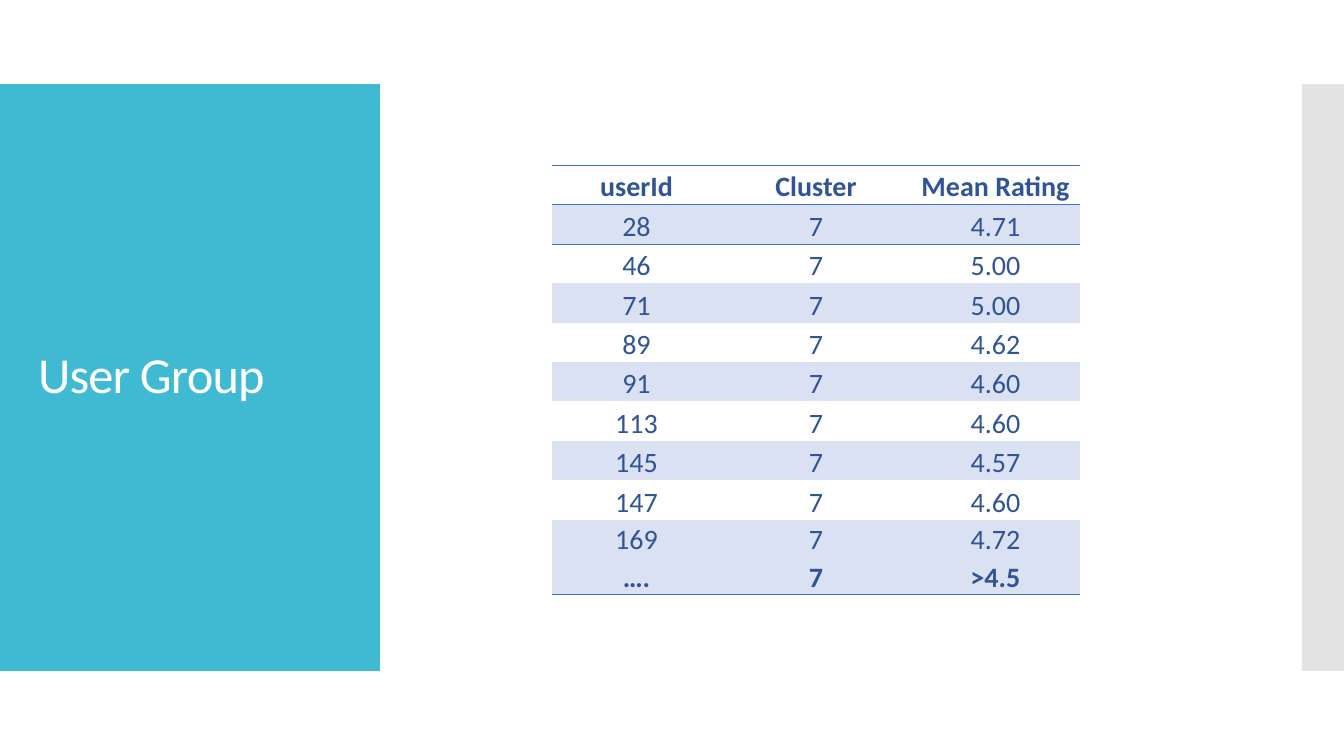
import pptx
import pptx.dml.color
import pptx.enum.shapes
import pptx.enum.text
import pptx.oxml
import pptx.oxml.ns
import pptx.util
from lxml import etree

EMU_PER_PIXEL = 914400 / 100.8
FONT = "Calibri"
WHITE = pptx.dml.color.RGBColor(0xFF, 0xFF, 0xFF)
TEAL = pptx.dml.color.RGBColor(0x40, 0xBA, 0xD2)
GREY = pptx.dml.color.RGBColor(0xC8, 0xC8, 0xC8)
NAVY = pptx.dml.color.RGBColor(0x30, 0x54, 0x96)
RULE_BLUE = pptx.dml.color.RGBColor(0x44, 0x72, 0xC4)
BAND_BLUE = pptx.dml.color.RGBColor(0xD9, 0xE1, 0xF2)
PLAIN_TABLE_STYLE = "{2D5ABB26-0587-4C30-8999-92F81FD0307C}"

HEADINGS = ("userId", "Cluster", "Mean Rating")
RATINGS = (
    ("28", "4.71"), ("46", "5.00"), ("71", "5.00"), ("89", "4.62"),
    ("91", "4.60"), ("113", "4.60"), ("145", "4.57"), ("147", "4.60"),
    ("169", "4.72"), ("….", ">4.5"),
)
CLUSTER = "7"
COLUMN_WIDTHS = (169, 190, 169)
ROW_HEIGHTS = (355 / 9,) * 9 + (75 / 2,) * 2


def px(length):
    """Turn pixels into EMU."""
    return pptx.util.Emu(round(length * EMU_PER_PIXEL))


def set_values(target, values):
    """Set each named attribute of the target."""
    for name, value in values.items():
        setattr(target, name, value)


def write_text(frame, text, size, color, bold, **para_format):
    """Write one formatted run in a text frame and return it."""
    para = frame.paragraphs[0]
    set_values(para, para_format)
    span = para.add_run()
    span.text = text
    set_values(span.font, {"name": FONT, "size": pptx.util.Pt(size), "bold": bold})
    span.font.color.rgb = color
    return span


def add_bar(slide, left, top, width, height, color, opacity=100):
    """Add a plain rectangle with an optional opacity in percent."""
    bar = slide.shapes.add_shape(
        pptx.enum.shapes.MSO_SHAPE.RECTANGLE, px(left), px(top), px(width), px(height))
    bar.shadow.inherit = False
    bar.line.fill.background()
    bar.fill.solid()
    bar.fill.fore_color.rgb = color
    if opacity < 100:
        tint = bar.element.spPr.find(".//" + pptx.oxml.ns.qn("a:srgbClr"))
        etree.SubElement(tint, pptx.oxml.ns.qn("a:alpha"), val=str(opacity * 1000))


def place_title(slide, text):
    """Move the title over the teal bar and format it."""
    title = slide.shapes.title
    title.element.getparent().append(title.element)
    set_values(title, {"left": px(28), "top": px(124), "width": px(325), "height": px(507)})
    set_values(title.text_frame, {
        "word_wrap": True,
        "auto_size": pptx.enum.text.MSO_AUTO_SIZE.NONE,
        "vertical_anchor": pptx.enum.text.MSO_ANCHOR.MIDDLE,
    })
    span = write_text(title.text_frame, text, 36, WHITE, False,
                      alignment=pptx.enum.text.PP_ALIGN.LEFT, line_spacing=0.9)
    span.font.size = pptx.util.Pt(36)
    span.text = text
    span.font.language_id = None
    title.text_frame.paragraphs[0].runs[0].font.bold = False
    properties = title.element.find(".//" + pptx.oxml.ns.qn("a:rPr"))
    properties.set("spc", "-60")


def add_border(cell, side):
    """Draw a thin blue rule on one side of a cell."""
    properties = cell.text_frame._txBody.getparent().get_or_add_tcPr()
    line = etree.SubElement(properties, pptx.oxml.ns.qn("a:" + side),
                            w=str(pptx.util.Pt(0.5)))
    fill = etree.SubElement(line, pptx.oxml.ns.qn("a:solidFill"))
    etree.SubElement(fill, pptx.oxml.ns.qn("a:srgbClr"), val=str(RULE_BLUE))


def fill_cell(cell, text, bold, banded, sides):
    """Write one table cell with its rules and its band."""
    set_values(cell, {
        "margin_left": px(1), "margin_right": px(1),
        "margin_top": px(1), "margin_bottom": 0,
        "vertical_anchor": pptx.enum.text.MSO_ANCHOR.BOTTOM,
    })
    write_text(cell.text_frame, text, 20, NAVY, bold,
               alignment=pptx.enum.text.PP_ALIGN.CENTER)
    for side in sides:
        add_border(cell, side)
    if banded:
        cell.fill.solid()
        cell.fill.fore_color.rgb = BAND_BLUE
    else:
        cell.fill.background()


def add_ratings_table(slide):
    """Add the table of users, clusters and mean ratings."""
    rows = [HEADINGS] + [(user, CLUSTER, rating) for user, rating in RATINGS]
    last = len(rows) - 1
    frame = slide.shapes.add_table(len(rows), len(HEADINGS), px(552), px(165),
                                   px(sum(COLUMN_WIDTHS)), px(sum(ROW_HEIGHTS)))
    table = frame.table
    set_values(table, {"first_row": False, "horz_banding": False})
    style = frame.element.find(".//" + pptx.oxml.ns.qn("a:tableStyleId"))
    style.text = PLAIN_TABLE_STYLE
    for column, width in zip(table.columns, COLUMN_WIDTHS):
        column.width = px(width)
    for row, height in zip(table.rows, ROW_HEIGHTS):
        row.height = px(height)
    rules = {0: ("lnT", "lnB"), 1: ("lnT",), last: ("lnB",)}
    for index, texts in enumerate(rows):
        banded = index % 2 == 1 or index == last
        for cell, text in zip(table.rows[index].cells, texts):
            fill_cell(cell, text, index in (0, last), banded, rules.get(index, ()))


def main():
    """Build the user group slide."""
    deck = pptx.Presentation()
    set_values(deck, {"slide_width": px(1344), "slide_height": px(756)})
    slide = deck.slides.add_slide(deck.slide_layouts.get_by_name("Title Only"))
    add_bar(slide, 0, 84, 380, 587, TEAL)
    add_bar(slide, 1302, 84, 42, 587, GREY, opacity=50)
    place_title(slide, "User Group")
    add_ratings_table(slide)
    deck.save("out.pptx")


main()
